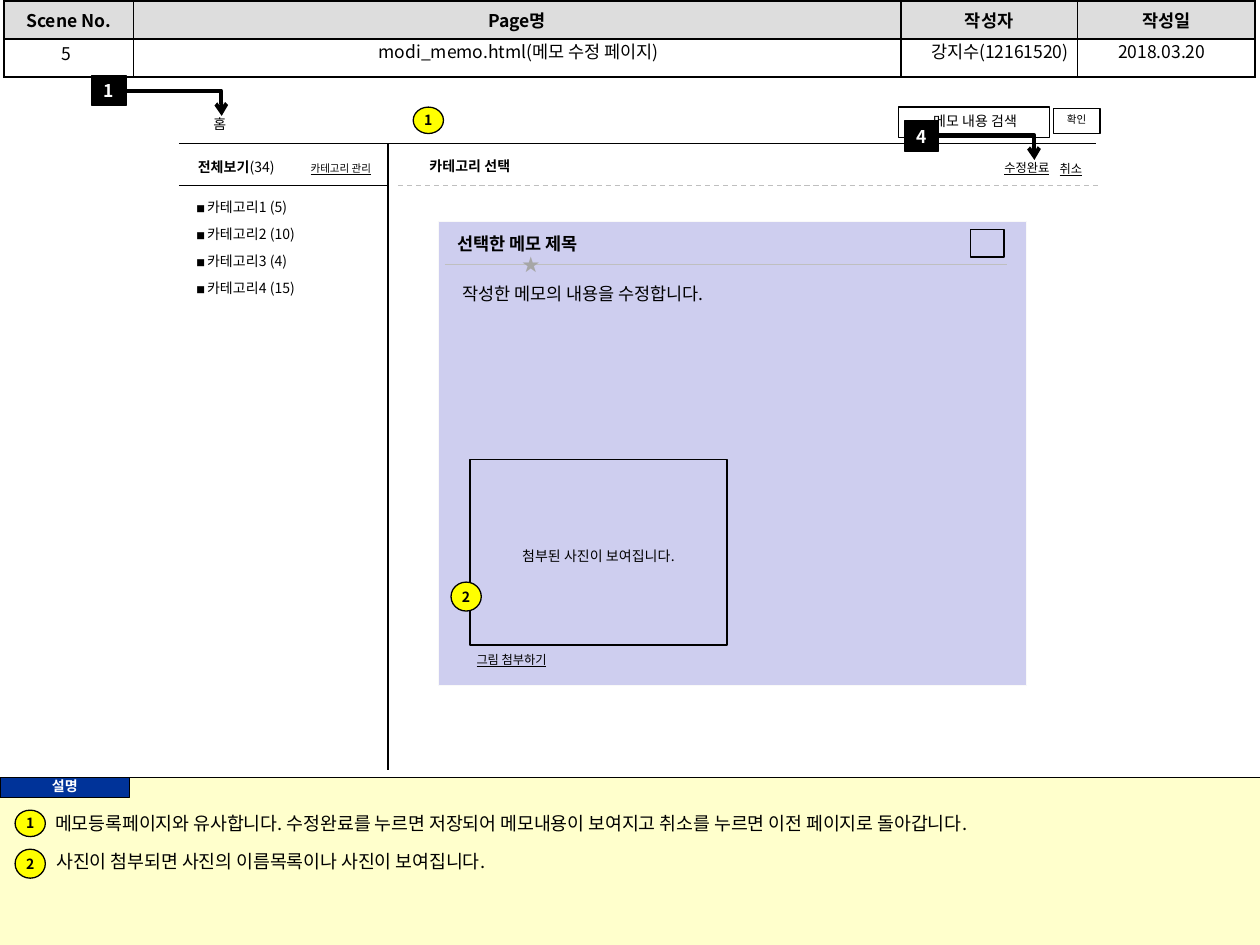
from lxml import etree
from pptx import Presentation
from pptx import util as u
from pptx.dml.color import RGBColor
from pptx.enum import dml, shapes, text
from pptx.oxml import parse_xml
from pptx.oxml.ns import qn

FONT = "Noto Sans CJK KR"
NS = 'xmlns:a="http://schemas.openxmlformats.org/drawingml/2006/main"'
BLACK, WHITE, GREY, YELLOW, LILAC = "000000", "FFFFFF", "BFBFBF", "FFFF00", "CECEEF"
CENTER, LEFT = text.PP_ALIGN.CENTER, text.PP_ALIGN.LEFT
RECT, OVAL = shapes.MSO_SHAPE.RECTANGLE, shapes.MSO_SHAPE.OVAL
BOLD, UNDER = {"bold": True}, {"underline": True}

HEADERS = ["Scene No.", "Page명", "작성자", "작성일"]
COLUMNS = [1.03, 6.09, 1.4, 1.41]
ROW_HEIGHT = 0.3
CATEGORIES = ["카테고리1 (5)", "카테고리2 (10)", "카테고리3 (4)", "카테고리4 (15)"]

PANELS = [
    ((0, 6.17, 10, 1.33), "FFFFCC", None),
    ((0, 6.17, 1.03, 0.16), "003399", BLACK),
    ((3.48, 1.76, 4.67, 3.68), LILAC, "F9F9F9"),
    ((7.7, 1.82, 0.27, 0.22), LILAC, BLACK),
    ((3.73, 3.65, 2.04, 1.47), LILAC, BLACK),
    ((7.13, 0.85, 1.2, 0.24), None, BLACK),
    ((8.36, 0.86, 0.37, 0.24 - 0.04), None, BLACK),
]
RULES = [
    ((0, 6.17, 10, 6.17), BLACK, False),
    ((1.42, 1.14, 8.7, 1.14), BLACK, False),
    ((3.08, 1.14, 3.08, 6.11), BLACK, False),
    ((1.42, 1.47, 3.08, 1.47), BLACK, False),
    ((3.16, 1.47, 8.74, 1.47), GREY, True),
    ((3.53, 2.1, 7.99, 2.1), GREY, False),
]
LABELS = [
    ((0, 0.29, 1.06, 0.26), CENTER, [("5", 10, {})]),
    ((1.11, 0.28, 6.01, 0.26), CENTER, [("modi_memo.html(메모 수정 페이지)", 10, {})]),
    ((7.17, 0.28, 1.53, 0.26), CENTER, [("강지수(12161520)", 10, {})]),
    ((8.56, 0.28, 1.32, 0.26), CENTER, [("2018.03.20", 10, {})]),
    ((1.59, 0.87, 0.31, 0.24), CENTER, [("홈", 8, {})]),
    ((1.38, 1.21, 0.99, 0.24), CENTER, [("전체보기", 8, BOLD), ("(34)", 8, {})]),
    ((2.32, 1.24, 0.77, 0.2), CENTER, [("카테고리 관리", 6, UNDER)]),
    ((3.01, 1.2, 1.44, 0.24), CENTER, [("카테고리 선택", 8, BOLD)]),
    ((7.6, 1.22, 1.1, 0.22), CENTER, [("수정완료", 7, UNDER)]),
    ((7.95, 1.23, 1.1, 0.22), CENTER, [("취소", 7, UNDER)]),
    ((3.53, 1.8, 4.11, 0.27), LEFT, [("선택한 메모 제목", 10, BOLD)]),
    ((4.02, 1.97, 0.4, 0.27), CENTER, [("★", 10, {"bold": True, "color": "A6A6A6"})]),
    ((3.57, 2.2, 2.85, 0.27), LEFT, [("작성한 메모의 내용을 수정합니다.", 10, {})]),
    ((3.73, 4.3, 2.04, 0.24), CENTER, [("첨부된 사진이 보여집니다.", 8, {})]),
    ((3.51, 5.13, 1.1, 0.22), CENTER, [("그림 첨부하기", 7, UNDER)]),
    ((7.13, 0.84, 1.22, 0.24), CENTER, [("메모 내용 검색", 8, {})]),
    ((8.26, 0.85, 0.57, 0.2), CENTER, [("확인", 6, {})]),
    ((0, 6.12, 1.03, 0.24), CENTER, [("설명", 8, {"bold": True, "color": WHITE})]),
    ((0.34, 6.4, 8.76, 0.28), LEFT, [(
        "메모등록페이지와 유사합니다. 수정완료를 누르면 저장되어 메모내용이 보여지고 "
        "취소를 누르면 이전 페이지로 돌아갑니다.", 10.5, {})]),
    ((0.35, 6.7, 8.76, 0.28), LEFT, [("사진이 첨부되면 사진의 이름목록이나 사진이 보여집니다.", 10.5, {})]),
]
LABELS += [
    ((1.46, 1.53 + 0.213 * i, 1.7, 0.24), LEFT, [("■ ", 5, {}), (name, 8, {})])
    for i, name in enumerate(CATEGORIES)
]
MARKERS = [
    ("1", (0.12, 6.43, 0.24, 0.21)),
    ("1", (3.28, 0.85, 0.24, 0.21)),
    ("2", (0.12, 6.74, 0.24, 0.23)),
    ("2", (3.58, 4.62, 0.24, 0.23)),
]
POINTERS = [("1", 0.73, 0.6, 0.72), ("4", 7.18, 0.96, 1.07)]


def rgb(value):
    return RGBColor.from_string(value)


def inches(values):
    return [u.Inches(value) for value in values]


def write(frame, spans, align=CENTER, inset=None, anchor=text.MSO_ANCHOR.TOP):
    frame.word_wrap = True
    frame.vertical_anchor = anchor
    if inset is not None:
        for side in ("left", "top", "right", "bottom"):
            setattr(frame, "margin_" + side, u.Inches(inset))
    para = frame.paragraphs[0]
    para.alignment = align
    for words, size, style in spans:
        span = para.add_run()
        span.text = words
        look = {"name": FONT, "size": u.Pt(size), **style}
        span.font.color.rgb = rgb(look.pop("color", BLACK))
        for key, value in look.items():
            setattr(span.font, key, value)
        east = etree.SubElement(span.font._element, qn("a:ea"))
        east.set("typeface", FONT)


def add_panel(place, fill, line, kind=RECT):
    panel = page.shapes.add_shape(kind, *inches(place))
    panel.shadow.inherit = False
    if fill:
        panel.fill.solid()
        panel.fill.fore_color.rgb = rgb(fill)
    else:
        panel.fill.background()
    if line:
        panel.line.color.rgb = rgb(line)
        panel.line.width = u.Pt(0.75)
    else:
        panel.line.fill.background()
    return panel


def add_line(ends, color, width=0.75, kind=shapes.MSO_CONNECTOR.STRAIGHT):
    line = page.shapes.add_connector(kind, *inches(ends))
    line.line.color.rgb = rgb(color)
    line.line.width = u.Pt(width)
    etree.SubElement(line._element.spPr, qn("a:effectLst"))
    return line


def add_badge(label, place, kind, fill, color, size):
    badge = add_panel(place, fill, BLACK, kind)
    spans = [(label, size, {"bold": True, "color": color})]
    write(badge.text_frame, spans, inset=0, anchor=text.MSO_ANCHOR.MIDDLE)


def add_header():
    table = page.shapes.add_table(
        2, len(COLUMNS), *inches((0.03, 0.01, sum(COLUMNS), 2 * ROW_HEIGHT))).table
    for column, width in zip(table.columns, COLUMNS):
        column.width = u.Inches(width)
    for row in table.rows:
        row.height = u.Inches(ROW_HEIGHT)
    for index, cell in enumerate(table.iter_cells()):
        if index < len(HEADERS):
            write(cell.text_frame, [(HEADERS[index], 10, BOLD)])
            cell.fill.solid()
            cell.fill.fore_color.rgb = rgb("DDDDDD")
        else:
            cell.text_frame.paragraphs[0].font.size = u.Pt(10)
            cell.fill.background()
        for order, side in enumerate("LRTB"):
            border = (f'<a:ln{side} {NS} w="12700"><a:solidFill><a:srgbClr val="{BLACK}"/>'
                      f'</a:solidFill></a:ln{side}>')
            cell._tc.get_or_add_tcPr().insert(order, parse_xml(border))


def add_pointer(label, left, top, level):
    add_badge(label, (left, top, 0.27, 0.24), RECT, BLACK, WHITE, 10)
    start = left + 0.27
    arrow = add_line((start, level, start + 0.76, level + 0.2), BLACK, 2.25,
                     shapes.MSO_CONNECTOR.ELBOW)
    etree.SubElement(arrow.line._get_or_add_ln(), qn("a:tailEnd")).set("type", "arrow")
    bend = etree.SubElement(arrow._element.spPr.prstGeom.get_or_add_avLst(), qn("a:gd"))
    bend.set("name", "adj1")
    bend.set("fmla", "val 99500")


deck = Presentation()
deck.slide_width, deck.slide_height = inches((10, 7.5))
page = deck.slides.add_slide(deck.slide_layouts[6])

for panel_spec in PANELS:
    add_panel(*panel_spec)
add_header()
for ends, color, dashed in RULES:
    rule = add_line(ends, color)
    if dashed:
        rule.line.dash_style = dml.MSO_LINE.DASH
for place, align, spans in LABELS:
    box = page.shapes.add_textbox(*inches(place))
    write(box.text_frame, spans, align)
for pointer in POINTERS:
    add_pointer(*pointer)
for label, place in MARKERS:
    add_badge(label, place, OVAL, YELLOW, BLACK, 8)

deck.save("out.pptx")
